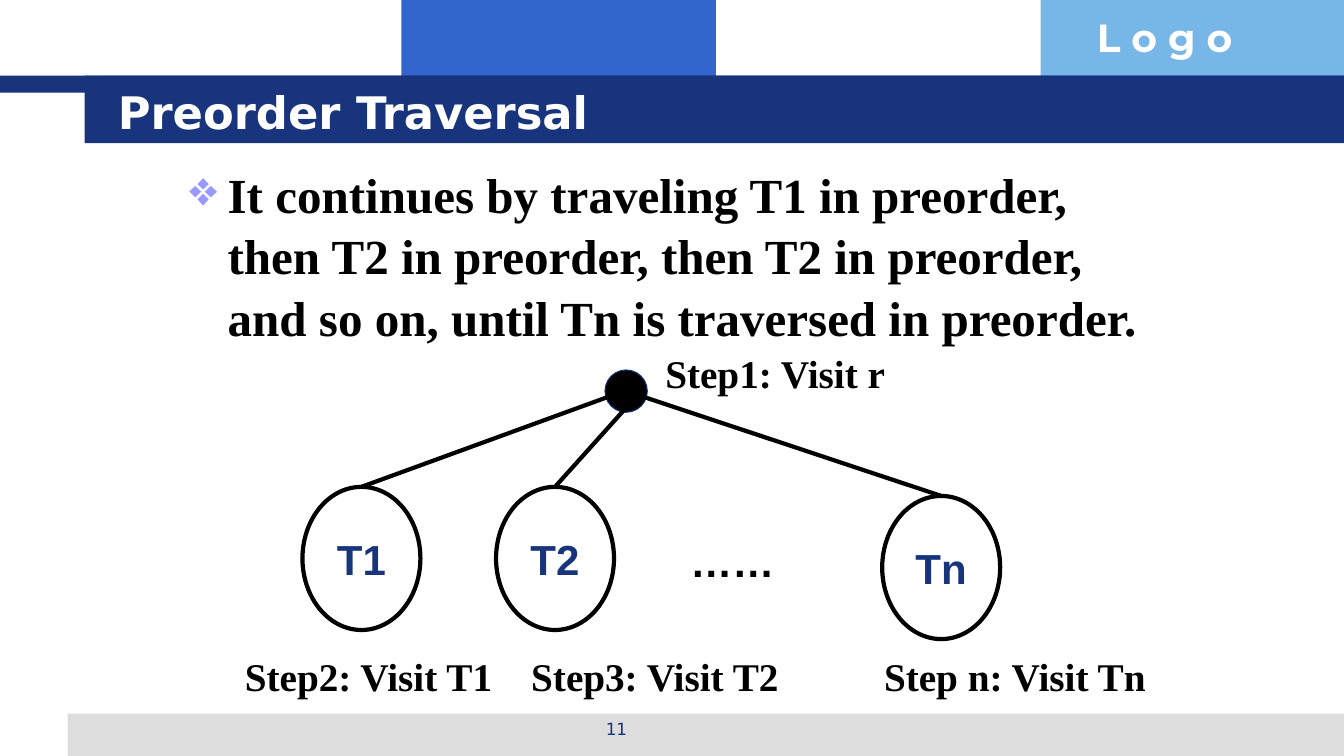
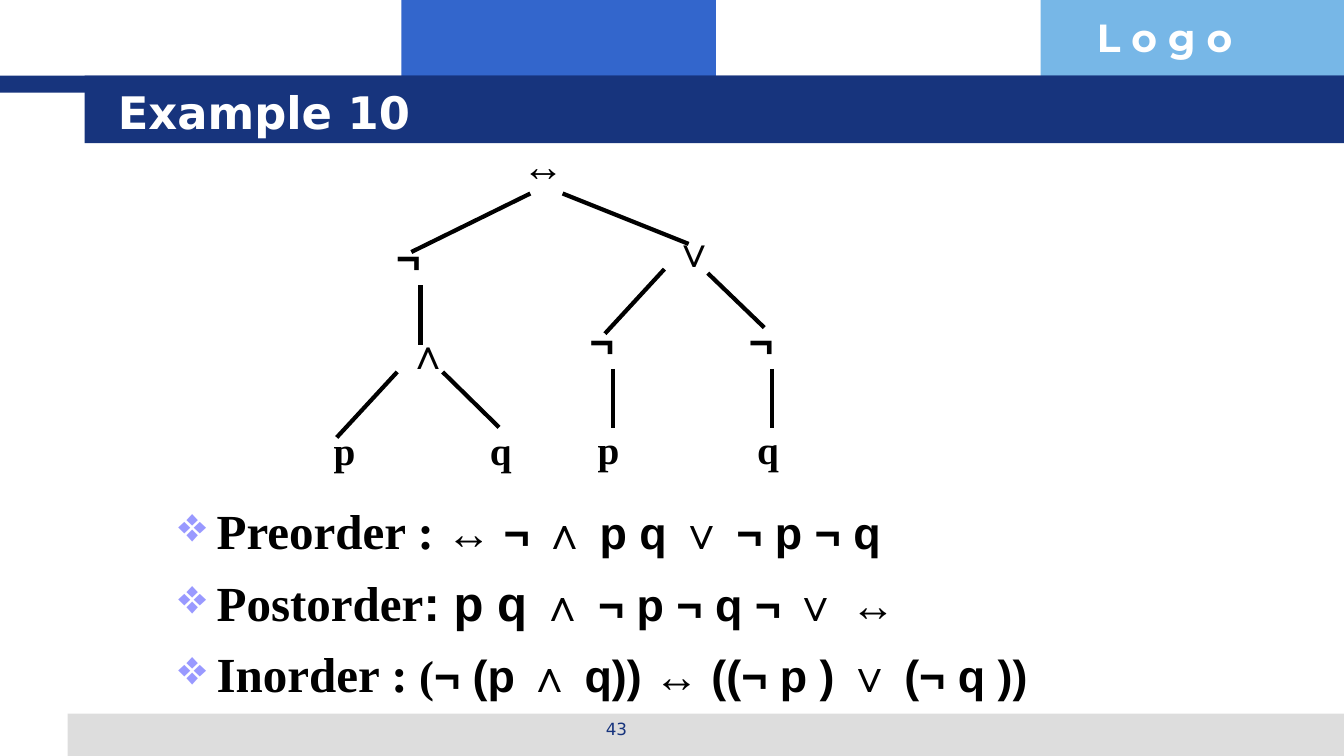
from dataclasses import dataclass

from lxml.etree import SubElement
from pptx import Presentation
from pptx.dml.color import RGBColor
from pptx.enum.shapes import MSO_CONNECTOR, MSO_SHAPE
from pptx.enum.text import MSO_ANCHOR, PP_ALIGN
from pptx.oxml.ns import qn
from pptx.util import Inches, Pt


@dataclass(frozen=True)
class Theme:
    navy: str = "17347D"
    blue: str = "3366CC"
    sky: str = "77B7E7"
    grey: str = "DDDDDD"
    bullet: str = "9999FF"
    black: str = "000000"
    white: str = "FFFFFF"
    display: str = "DejaVu Sans"
    logo: str = "Montserrat"
    serif: str = "Times New Roman"
    sans: str = "Arial"
    title_size: int = 32
    body_size: int = 35
    formula_size: int = 32
    node_size: int = 30
    label_size: int = 28
    number_size: int = 12
    stroke: int = 3


T = Theme()


def rgb(value):
    return RGBColor.from_string(value)


class Deck:
    def __init__(self):
        self.prs = Presentation()
        self.prs.slide_width, self.prs.slide_height = Inches(13.33), Inches(7.5)
        self.s = None

    def slide(self, title, number):
        """Start a slide with the shared bands, logo text, title and number."""
        self.s = self.prs.slides.add_slide(self.prs.slide_layouts[6])
        for box, color in (
            ((3.98, 0, 3.12, 0.92), T.blue),
            ((10.32, 0, 3.01, 0.92), T.sky),
            ((0.67, 7.08, 12.66, 0.42), T.grey),
            ((0, 0.75, 13.33, 0.17), T.navy),
            ((0.84, 0.75, 12.49, 0.67), T.navy),
        ):
            self.shape(MSO_SHAPE.RECTANGLE, box, fill=color)
        self.text("L o g o", (10.78, 0.08, 2.55, 0.57), T.logo, T.label_size,
                  T.white, wrap=True)
        self.text(str(number), (4.56, 7.08, 3.11, 0.35), T.display, T.number_size,
                  T.navy, bold=False, align=PP_ALIGN.CENTER, wrap=True)
        self.text(title, (1.07, 0.8, 11.38, 0.62), T.display, T.title_size,
                  T.white, anchor=MSO_ANCHOR.MIDDLE, wrap=True)

    def style(self, r, font, size, color=T.black, bold=True):
        r.font.name, r.font.size, r.font.bold = font, Pt(size), bold
        r.font.color.rgb = rgb(color)

    def set_text(self, sp, text, font, size, color=T.black, bold=True,
                 align=PP_ALIGN.LEFT, anchor=MSO_ANCHOR.TOP, wrap=False):
        tf = sp.text_frame
        tf.text = text
        tf.word_wrap, tf.vertical_anchor = wrap, anchor
        p = tf.paragraphs[0]
        p.alignment = align
        self.style(p.runs[0], font, size, color, bold)

    def text(self, text, box, font, size, color=T.black, **options):
        sp = self.s.shapes.add_textbox(*map(Inches, box))
        self.set_text(sp, text, font, size, color, **options)

    def shape(self, kind, box, fill=None, line=None, width=T.stroke):
        sp = self.s.shapes.add_shape(kind, *map(Inches, box))
        sp.shadow.inherit = False
        if fill:
            sp.fill.solid()
            sp.fill.fore_color.rgb = rgb(fill)
        else:
            sp.fill.background()
        if line:
            sp.line.color.rgb, sp.line.width = rgb(line), Pt(width)
        else:
            sp.line.fill.background()
        return sp

    def subtree(self, label, left, top):
        sp = self.shape(MSO_SHAPE.OVAL, (left, top, 1.17, 1.42), line=T.black)
        self.set_text(sp, label, T.sans, T.node_size, T.navy,
                      align=PP_ALIGN.CENTER, anchor=MSO_ANCHOR.MIDDLE)
        return sp

    def line(self, x1, y1, x2, y2):
        c = self.s.shapes.add_connector(
            MSO_CONNECTOR.STRAIGHT, *map(Inches, (x1, y1, x2, y2)))
        c.line.color.rgb, c.line.width = rgb(T.black), Pt(T.stroke)
        SubElement(c._element.spPr, qn("a:effectLst"))
        return c

    def bullets(self, box, items):
        """Each item is a list of (text, font, size) runs."""
        tf = self.s.shapes.add_textbox(*map(Inches, box)).text_frame
        tf.word_wrap = True
        for i, runs in enumerate(items):
            p = tf.add_paragraph() if i else tf.paragraphs[0]
            pPr = p._p.get_or_add_pPr()
            pPr.set("marL", str(Inches(0.38)))
            pPr.set("indent", str(-Inches(0.38)))
            color = SubElement(pPr, qn("a:buClr"))
            SubElement(color, qn("a:srgbClr"), val=T.bullet)
            SubElement(pPr, qn("a:buChar"), char="❖")
            p.line_spacing = 1.05
            if i:
                p.space_before = Pt(7)
            for text, font, size in runs:
                r = p.add_run()
                r.text = text
                self.style(r, font, size)


def preorder_slide(deck):
    deck.slide("Preorder Traversal", 11)
    deck.bullets((1.78, 1.55, 9.83, 1.9), [[(
        "It continues by traveling T1 in preorder, then T2 in preorder, "
        "then T2 in preorder, and so on, until Tn is traversed in preorder.",
        T.serif, T.body_size)]])

    # Root and its subtrees
    deck.shape(MSO_SHAPE.OVAL, (6, 3.67, 0.42, 0.42), T.black, T.navy, 0.75)
    for label, left, top, x, y in (
        ("T1", 3, 4.83, 6.08, 3.92),
        ("T2", 4.92, 4.83, 6.25, 4),
        ("Tn", 8.75, 4.92, 6.33, 3.92),
    ):
        oval = deck.subtree(label, left, top)
        deck.line(x, y, left + 0.58, top).end_connect(oval, 0)
    deck.text("……", (6.75, 5.26, 1.03, 0.6), T.sans, T.node_size)

    # Step labels
    for label, left, top, width in (
        ("Step1: Visit r", 6.5, 3.42, 2.41),
        ("Step2: Visit T1", 2.33, 6.42, 2.69),
        ("Step3: Visit T2", 5.17, 6.42, 2.69),
        ("Step n: Visit Tn", 8.67, 6.42, 2.83),
    ):
        deck.text(label, (left, top, width, 0.57), T.serif, T.label_size)


def example_slide(deck):
    deck.slide("Example 10", 43)
    deck.bullets((1.67, 4.89, 9.72, 2.11), [
        [("Preorder : ", T.serif, T.body_size),
         ("↔ ¬ ∧ p q ∨ ¬ p ¬ q", T.sans, T.formula_size)],
        [("Postorder", T.serif, T.body_size),
         (": p q ", T.sans, T.body_size),
         ("∧ ¬ p ¬ q ¬ ∨ ↔", T.sans, T.formula_size)],
        [("Inorder :", T.serif, T.body_size),
         (" (", T.serif, T.formula_size),
         ("¬ (p ∧ q)) ↔ ((¬ p ) ∨ (¬ q ))", T.sans, T.formula_size)],
    ])

    # Branches of the expression tree
    for ends in (
        (5.26, 1.92, 4.08, 2.5), (5.58, 1.92, 6.83, 2.42),
        (4.17, 2.83, 4.17, 3.42),
        (6.59, 2.67, 6, 3.31), (7.02, 2.71, 7.58, 3.25),
        (3.94, 3.69, 3.34, 4.34), (4.39, 3.69, 4.95, 4.24),
        (6.08, 3.66, 6.08, 4.25), (7.66, 3.66, 7.66, 4.25),
    ):
        deck.line(*ends)

    # Operators and operands
    widths = {"↔": 0.64, "¬": 0.5, "∧": 0.45, "∨": 0.45, "p": 0.42, "q": 0.42}
    for symbol, left, top in (
        ("↔", 5.08, 1.34),
        ("¬", 3.83, 2.25), ("∨", 6.58, 2.19),
        ("∧", 3.94, 3.2), ("¬", 5.75, 3.08), ("¬", 7.33, 3.08),
        ("p", 3.21, 4.18), ("q", 4.76, 4.18),
        ("p", 5.83, 4.17), ("q", 7.41, 4.17),
    ):
        if symbol in "pq":
            font, size, height = T.serif, T.label_size, 0.57
        else:
            font, size, height = T.sans, T.node_size, 0.6
        deck.text(symbol, (left, top, widths[symbol], height), font, size)


def main():
    deck = Deck()
    preorder_slide(deck)
    example_slide(deck)
    deck.prs.save("out.pptx")


if __name__ == "__main__":
    main()
